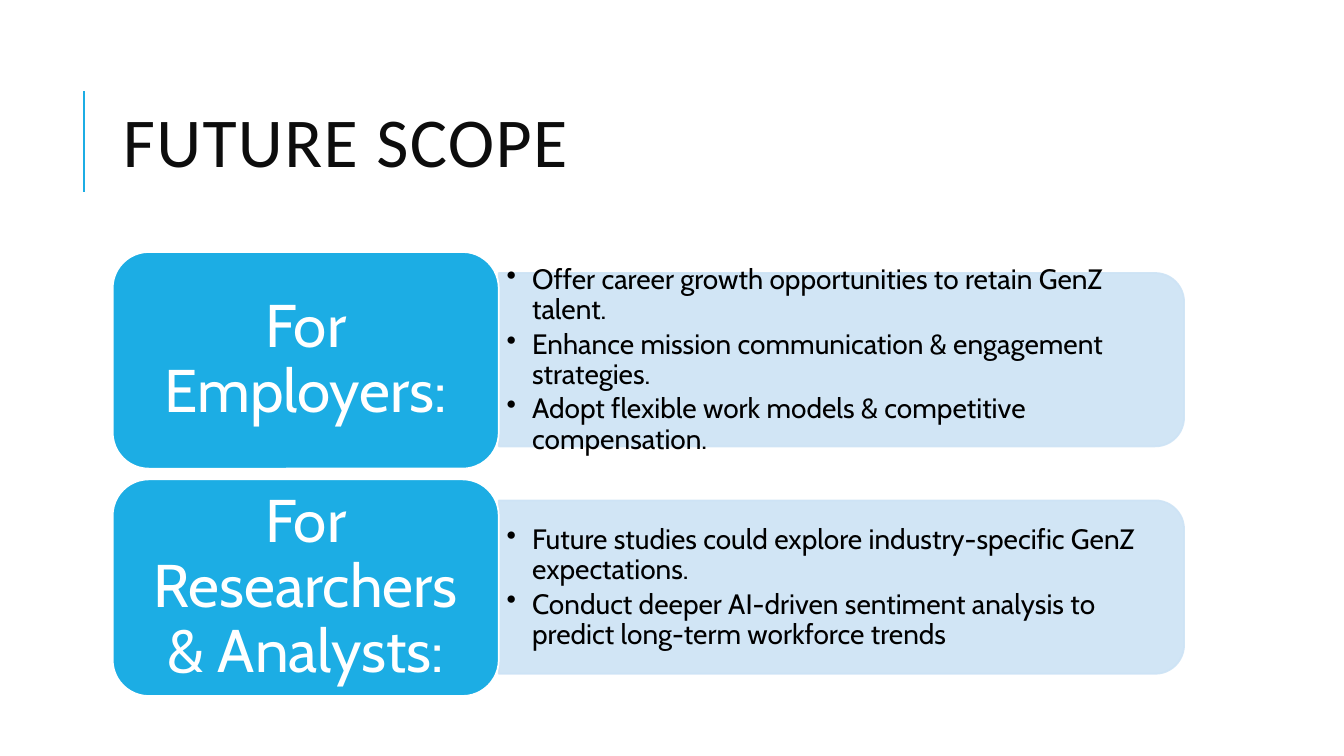
from lxml.etree import SubElement as Sub
from pptx import Presentation
from pptx.dml.color import RGBColor
from pptx.enum.shapes import MSO_CONNECTOR as Conn, MSO_SHAPE as Form
from pptx.enum.text import MSO_ANCHOR as Anchor, MSO_AUTO_SIZE as Auto, PP_ALIGN as Align
from pptx.oxml.ns import qn
from pptx.util import Cm, Pt

BLUE, PALE, WHITE, BLACK = "1CADE4", "CDE3F5", "FFFFFF", "000000"
TOP, STEP = 6.35, 5.73
ROWS = [
    ("For Employers:", [
        "Offer career growth opportunities to retain GenZ talent.",
        "Enhance mission communication & engagement strategies.",
        "Adopt flexible work models & competitive compensation.",
    ]),
    ("For Researchers & Analysts:", [
        "Future studies could explore industry-specific GenZ expectations.",
        "Conduct deeper AI-driven sentiment analysis to predict long-term workforce trends",
    ]),
]


def paint(color, value):
    color.rgb = RGBColor.from_string(value)


def style(para, font, size, color, align, lead):
    para.alignment = align
    para.line_spacing = lead
    for run in para.runs:
        run.font.name = font
        run.font.size = Pt(size)
        paint(run.font.color, color)


def add_title(slide, text):
    title = slide.shapes.title
    title.left, title.top, title.width, title.height = Cm(2.84), Cm(1.63), Cm(27), Cm(4.17)
    frame = title.text_frame
    frame.text = text
    frame.auto_size = Auto.NONE
    frame.vertical_anchor = Anchor.MIDDLE
    para = frame.paragraphs[0]
    style(para, "Calibri", 50, "0D0D0D", Align.LEFT, 0.8)
    para.runs[0].font._element.set("spc", "100")


def add_rule(slide):
    rule = slide.shapes.add_connector(Conn.STRAIGHT, Cm(2.11), Cm(4.83), Cm(2.11), Cm(2.29))
    rule.line.width = Pt(1.5)
    paint(rule.line.color, BLUE)
    Sub(rule._element.spPr, qn("a:effectLst"))


def add_box(slide, form, box, fill, edge):
    shape = slide.shapes.add_shape(form, *map(Cm, box))
    shape.shadow.inherit = False
    shape.fill.solid()
    paint(shape.fill.fore_color, fill)
    paint(shape.line.color, edge)
    shape.line.width = Pt(1.25)
    return shape


def add_panel(slide, top):
    panel = add_box(slide, Form.ROUND_2_SAME_RECTANGLE, (19.02, top - 5.92, 4.37, 17.27), PALE, PALE)
    panel.rotation = 90
    for color in panel._element.spPr.iter(qn("a:srgbClr")):
        Sub(color, qn("a:alpha"), val="90000")


def add_text(slide, box, lines, pad):
    frame = slide.shapes.add_textbox(*map(Cm, box)).text_frame
    frame.word_wrap = True
    frame.vertical_anchor = Anchor.MIDDLE
    frame.margin_left = frame.margin_right = Cm(pad)
    frame.margin_top = frame.margin_bottom = Cm(pad / 2)
    frame.text = "\n".join(lines)
    return frame.paragraphs


def add_list(slide, top, items):
    for para in add_text(slide, (12.57, top + 0.76, 17.07, 3.94), items, 0.2):
        style(para, "Cabin", 20, BLACK, Align.LEFT, 0.9)
        para.space_after = Pt(3)
        props = para._p.get_or_add_pPr()
        props.set("marL", str(Cm(0.64)))
        props.set("indent", str(-Cm(0.64)))
        Sub(props, qn("a:buChar"), char="•")


def add_card(slide, top, name):
    add_box(slide, Form.ROUNDED_RECTANGLE, (2.84, top, 9.73, 5.46), BLUE, WHITE)
    for para in add_text(slide, (3.11, top + 0.27, 9.19, 4.93), [name], 0.46):
        style(para, "Cabin", 43, WHITE, Align.CENTER, 0.9)


def main():
    deck = Presentation()
    deck.slide_width, deck.slide_height = Cm(33.87), Cm(19.05)
    slide = deck.slides.add_slide(deck.slide_layouts[5])
    add_rule(slide)
    add_title(slide, "FUTURE SCOPE")
    for row, (name, items) in enumerate(ROWS):
        top = TOP + row * STEP
        add_panel(slide, top)
        add_list(slide, top, items)
        add_card(slide, top, name)
    deck.save("out.pptx")


if __name__ == "__main__":
    main()
